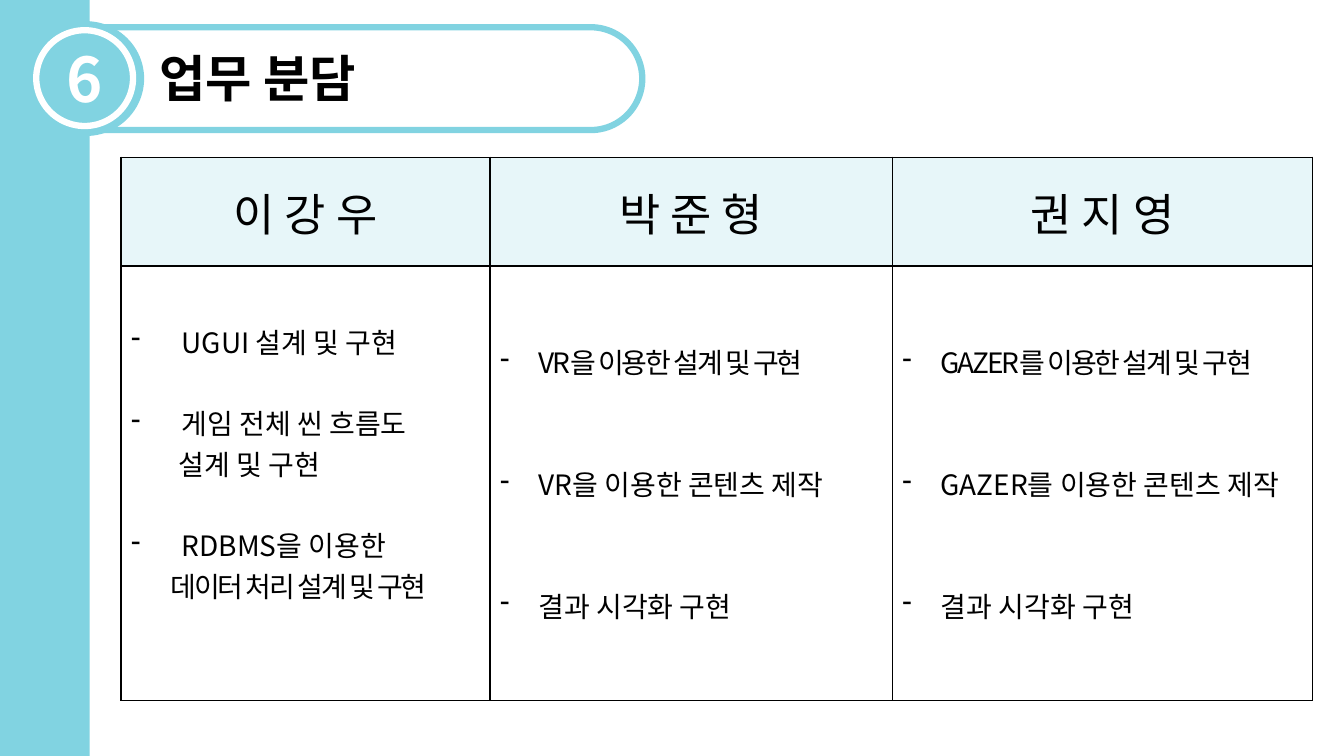
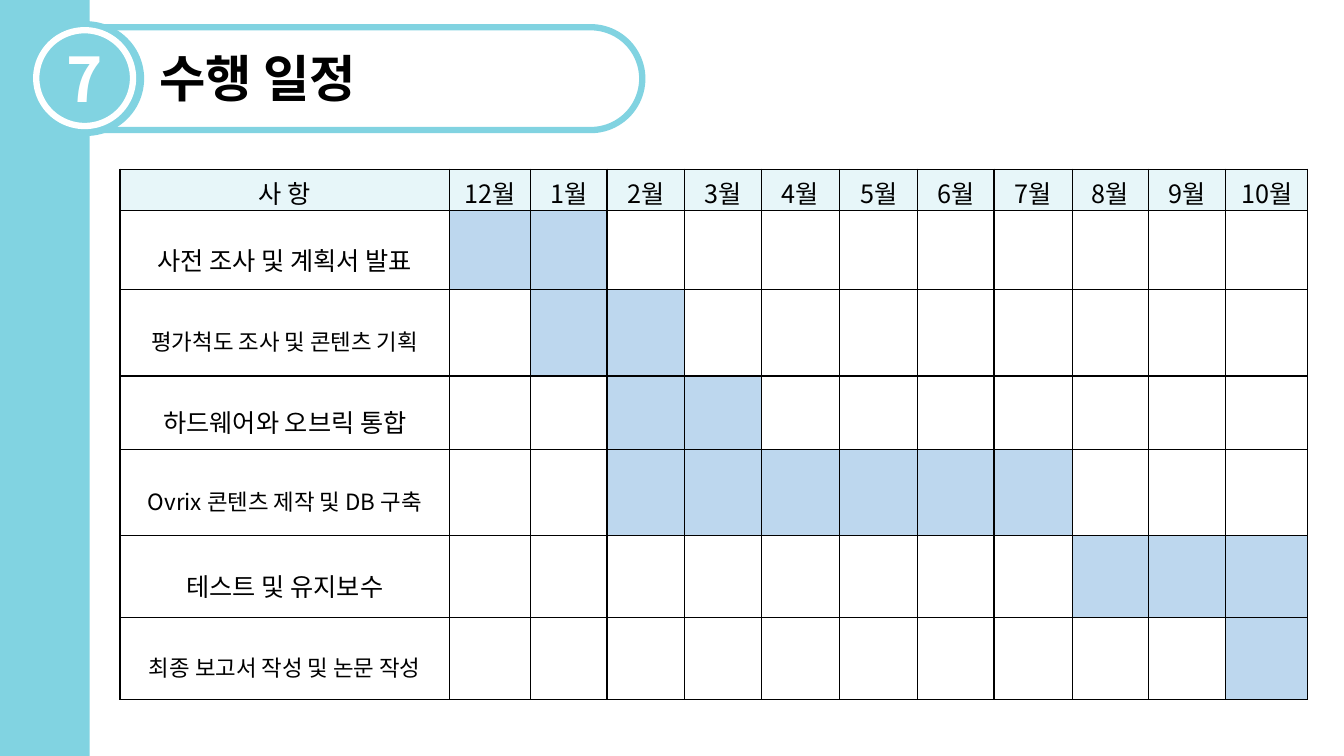
from lxml import etree
from pptx import Presentation
from pptx.dml.color import RGBColor
from pptx.enum.shapes import MSO_SHAPE
from pptx.enum.text import MSO_ANCHOR, PP_ALIGN
from pptx.oxml.ns import qn
from pptx.util import Inches, Pt

RECT, PILL, OVAL = MSO_SHAPE.RECTANGLE, MSO_SHAPE.ROUNDED_RECTANGLE, MSO_SHAPE.OVAL
CENTER, LEFT, MIDDLE = PP_ALIGN.CENTER, PP_ALIGN.LEFT, MSO_ANCHOR.MIDDLE
FONT = "Noto Sans CJK KR"
AQUA, PALE, BAR, WHITE, BLACK = "81D3E1", "E7F6F9", "BDD7EE", "FFFFFF", "000000"


def paint(target, colour):
    if hasattr(target, "solid"):
        target.solid()
        target.fore_color.rgb = RGBColor.from_string(colour)
    else:
        target.color.rgb = RGBColor.from_string(colour)


def write(paragraph, text, size, colour=BLACK, bold=False, align=CENTER):
    paragraph.text = text
    paragraph.alignment = align
    run = paragraph.runs[0]
    run.font.size = Pt(size)
    run.font.bold = bold
    run.font.name = FONT
    paint(run.font, colour)
    properties = run.font._element
    etree.SubElement(properties, qn("a:ea"), typeface=FONT)
    return properties


prs = Presentation()
prs.slide_width, prs.slide_height = Inches(13.33), Inches(7.5)

pages = [
    ("6", "업무 분담", (1.2, 1.56), [3.66, 3.99, 4.17], [1.08, 4.31]),
    ("7", "수행 일정", (1.19, 1.68),
     [3.27, 0.8, 0.76, 0.77, 0.76, 0.78, 0.77, 0.76, 0.78, 0.75, 0.77, 0.81],
     [0.41, 0.78, 0.86, 0.73, 0.85, 0.82, 0.81]),
]
frame_parts = [
    (RECT, (0, 0, 0.89, 7.5), AQUA, None),
    (PILL, (0.32, 0.27, 6.05, 1.02), None, AQUA),
    (OVAL, (0.27, 0.21, 1.16, 1.14), AQUA, None),
    (OVAL, (0.36, 0.3, 0.96, 0.95), AQUA, WHITE),
]
tables = []

for number, heading, (left, top), widths, heights in pages:
    slide = prs.slides.add_slide(prs.slide_layouts[6])
    for kind, place, fill, outline in frame_parts:
        part = slide.shapes.add_shape(kind, *map(Inches, place))
        part.shadow.inherit = False
        if kind == PILL:
            part.adjustments[0] = 0.5
        if fill:
            paint(part.fill, fill)
        else:
            part.fill.background()
        if outline:
            paint(part.line, outline)
            part.line.width = Pt(4.5)
        else:
            part.line.fill.background()
    badge = part.text_frame
    badge.vertical_anchor = MIDDLE
    badge.margin_left = badge.margin_right = 0
    write(badge.paragraphs[0], number, 44, WHITE, True)

    title = slide.shapes.add_textbox(Inches(1.48), Inches(0.42), Inches(4.51), Inches(0.71))
    title.text_frame.word_wrap = True
    write(title.text_frame.paragraphs[0], heading, 36, bold=True, align=LEFT)

    table = slide.shapes.add_table(
        len(heights), len(widths), Inches(left), Inches(top),
        Inches(sum(widths)), Inches(sum(heights))).table
    table.first_row = table.horz_banding = False
    for column, width in zip(table.columns, widths):
        column.width = Inches(width)
    for row, height in zip(table.rows, heights):
        row.height = Inches(height)
    for index, cell in enumerate(table.iter_cells()):
        paint(cell.fill, PALE if index < len(widths) else WHITE)
        cell.vertical_anchor = MIDDLE
        borders = cell._tc.get_or_add_tcPr()
        for position, side in enumerate(("a:lnL", "a:lnR", "a:lnT", "a:lnB")):
            border = etree.Element(qn(side), w=str(Pt(1)))
            stroke = etree.SubElement(border, qn("a:solidFill"))
            etree.SubElement(stroke, qn("a:srgbClr"), val=BLACK)
            borders.insert(position, border)
    tables.append(table)

duties, schedule = tables

# text, left indent, bulleted, letter spacing
members = [
    ("이 강 우", 29, [
        ("UGUI 설계 및 구현", 0.5, True, 0),
        ("게임 전체 씬 흐름도", 0.5, True, 0),
        ("설계 및 구현", 0.47, False, 0),
        ("RDBMS을 이용한", 0.5, True, 0),
        ("데이터 처리 설계 및 구현", 0.39, False, -1.5)]),
    ("박 준 형", 58, [
        ("VR을 이용한 설계 및 구현", 0.38, True, -1.5),
        ("VR을 이용한 콘텐츠 제작", 0.38, True, 0),
        ("결과 시각화 구현", 0.38, True, 0)]),
    ("권 지 영", 58, [
        ("GAZER를 이용한 설계 및 구현", 0.38, True, -1.5),
        ("GAZER를 이용한 콘텐츠 제작", 0.38, True, 0),
        ("결과 시각화 구현", 0.38, True, 0)]),
]
for column, (member, gap, tasks) in enumerate(members):
    write(duties.cell(0, column).text_frame.paragraphs[0], member, 32)
    body = duties.cell(1, column).text_frame
    for position, (task, indent, bulleted, spacing) in enumerate(tasks):
        paragraph = body.add_paragraph() if position else body.paragraphs[0]
        write(paragraph, task, 20, align=LEFT).set("spc", str(int(spacing * 100)))
        layout = paragraph._p.get_or_add_pPr()
        layout.set("marL", str(Inches(indent)))
        layout.set("indent", str(-Inches(indent) if bulleted else 0))
        if bulleted:
            if position:
                paragraph.space_before = Pt(gap)
            etree.SubElement(layout, qn("a:buChar"), char="-")
duties.cell(1, 0).margin_bottom = Inches(0.45)

months = [12, *range(1, 11)]
for column, label in enumerate(["사 항"] + [f"{month}월" for month in months]):
    cell = schedule.cell(0, column)
    cell.vertical_anchor = MSO_ANCHOR.TOP
    cell.margin_left = cell.margin_right = Inches(0.05)
    cell.margin_bottom = 0
    write(cell.text_frame.paragraphs[0], label, 18)

stages = [
    ("사전 조사 및 계획서 발표", 18, 12, 1),
    ("평가척도 조사 및 콘텐츠 기획", 16, 1, 2),
    ("하드웨어와 오브릭 통합", 18, 2, 3),
    ("Ovrix 콘텐츠 제작 및 DB 구축", 16, 2, 7),
    ("테스트 및 유지보수", 18, 8, 10),
    ("최종 보고서 작성 및 논문 작성", 16, 10, 10),
]
for row, (stage, size, first, last) in enumerate(stages, 1):
    paragraph = schedule.cell(row, 0).text_frame.paragraphs[0]
    write(paragraph, stage, size)
    paragraph.line_spacing = 1.5
    for column in range(months.index(first) + 1, months.index(last) + 2):
        paint(schedule.cell(row, column).fill, BAR)

prs.save("out.pptx")
